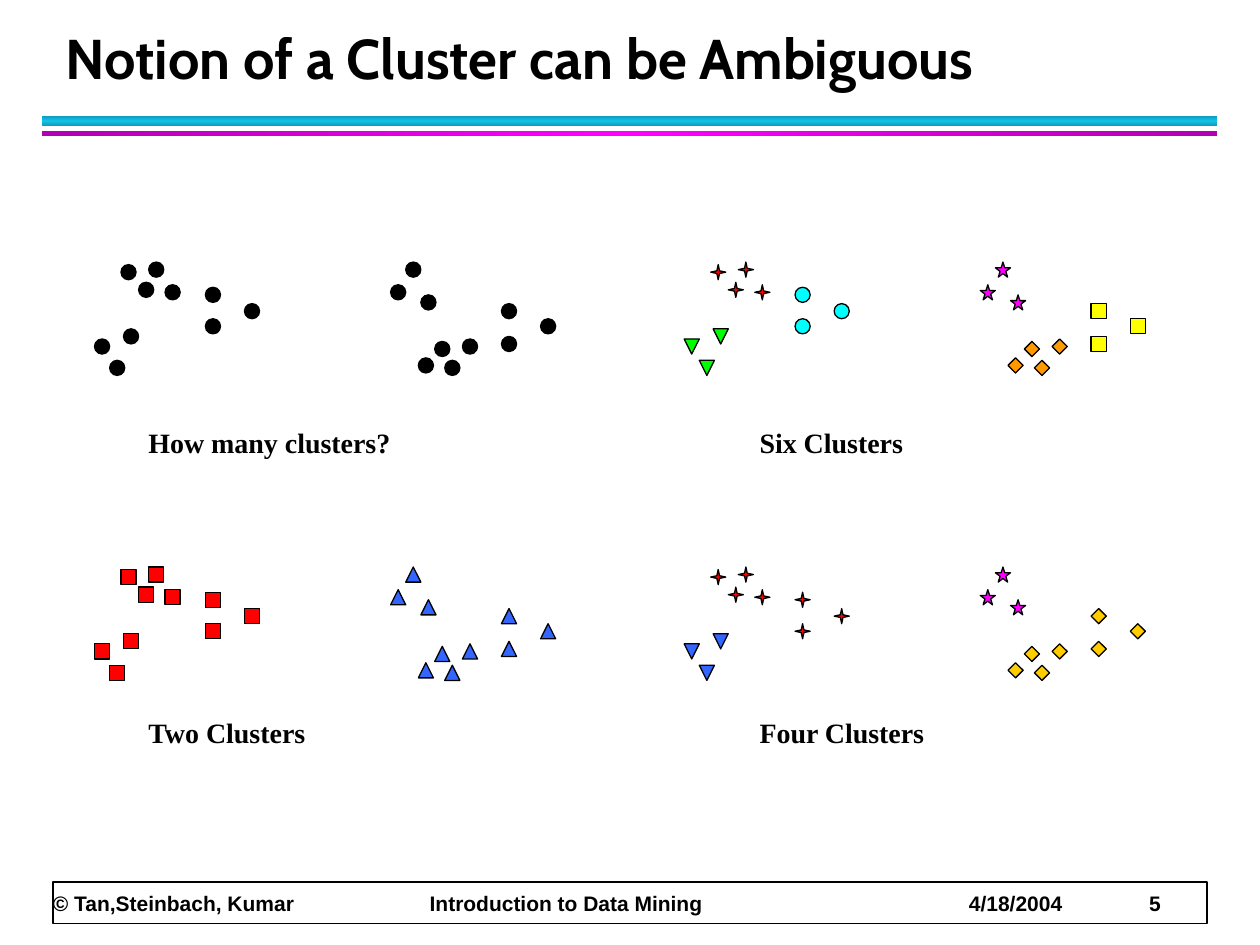
from copy import deepcopy
from pptx import Presentation
from pptx.dml.color import RGBColor
from pptx.enum.shapes import MSO_SHAPE
from pptx.enum.text import MSO_ANCHOR, PP_ALIGN
from pptx.oxml import parse_xml
from pptx.oxml.ns import nsdecls, qn
from pptx.util import Inches, Pt

BLACK = RGBColor(0x00, 0x00, 0x00)
WHITE = RGBColor(0xFF, 0xFF, 0xFF)
RED = RGBColor(0xFF, 0x00, 0x00)
BLUE = RGBColor(0x33, 0x66, 0xFF)
LIME = RGBColor(0x00, 0xFF, 0x00)
CYAN = RGBColor(0x00, 0xFF, 0xFF)
PINK = RGBColor(0xFF, 0x00, 0xFF)
PLUM = RGBColor(0xB2, 0x00, 0xB2)
ORANGE = RGBColor(0xFF, 0x99, 0x00)
GOLD = RGBColor(0xFF, 0xCC, 0x00)
YELLOW = RGBColor(0xFF, 0xFF, 0x00)
TEAL = RGBColor(0x0E, 0x9B, 0xBA)
SKY = RGBColor(0x12, 0xC2, 0xE9)

deck = Presentation()
deck.slide_width, deck.slide_height = Inches(10), Inches(7.5)
slide = deck.slides.add_slide(deck.slide_layouts[5])


def add_shape(kind, left, top, width, height):
    shape = slide.shapes.add_shape(
        kind, Inches(left), Inches(top), Inches(width), Inches(height))
    shape.shadow.inherit = False
    return shape


def add_run(para, text, font, size):
    run = para.add_run()
    run.text = text
    run.font.name, run.font.size, run.font.bold = font, Pt(size), True
    run.font.color.rgb = BLACK


# Title
title = slide.shapes.title
title.left, title.top = Inches(0.42), Inches(0.17)
title.width, title.height = Inches(9.06), Inches(0.6)
title.text_frame.vertical_anchor = MSO_ANCHOR.BOTTOM
para = title.text_frame.paragraphs[0]
para.alignment = PP_ALIGN.LEFT
para.line_spacing = Pt(36)
add_run(para, "Notion of a Cluster can be Ambiguous", "Cabin", 32)

# Gradient bars under the title
for top, height, angle, edge, core in [
        (0.92, 0.08, 90, TEAL, SKY), (1.04, 0.04, 0, PLUM, PINK)]:
    bar = add_shape(MSO_SHAPE.RECTANGLE, 0.33, top, 9.33, height)
    bar.line.fill.background()
    bar.fill.gradient()
    bar.fill.gradient_angle = angle
    stops = bar._element.spPr.find(".//" + qn("a:gsLst"))
    stops.append(deepcopy(stops[-1]))
    for stop, spot, color in zip(
            bar.fill.gradient_stops, (0, 0.5, 1), (edge, core, edge)):
        stop.position = spot
        stop.color.rgb = color

# Footer frame and text
frame = add_shape(MSO_SHAPE.RECTANGLE, 0.42, 7, 9.16, 0.33)
frame.fill.solid()
frame.fill.fore_color.rgb = WHITE
frame.line.color.rgb = BLACK
frame.line.width = Pt(1)
box = slide.shapes.add_textbox(
    Inches(0.42), Inches(6.72), Inches(9.15), Inches(0.55))
text = box.text_frame
text.word_wrap = True
text.vertical_anchor = MSO_ANCHOR.BOTTOM
text.margin_left = text.margin_right = text.margin_top = text.margin_bottom = 0
para = text.paragraphs[0]
para.line_spacing = Pt(19.9)
tabs = parse_xml(f"<a:tabLst {nsdecls('a')}/>")
for stop in (2.99, 7.27, 8.7):
    tab = parse_xml(f"<a:tab {nsdecls('a')} algn='l'/>")
    tab.set("pos", str(Inches(stop)))
    tabs.append(tab)
para._p.get_or_add_pPr().append(tabs)
add_run(para, "© Tan,Steinbach, Kumar\tIntroduction to Data Mining\t4/18/2004\t5",
        "Arial", 12)

# Point groups of one panel, as offsets on the slide
GROUPS = [
    [(3.67, 2.69), (3.32, 2.84), (3.53, 2.86), (3.45, 2.71)],
    [(3.34, 2.34), (3.1, 2.26), (3.22, 2.08)],
    [(3.98, 2.67), (4.29, 2.53), (3.98, 2.41)],
    [(1.31, 2.26), (0.96, 2.1), (1.18, 2.08), (1.1, 2.24)],
    [(0.98, 2.61), (0.75, 2.69), (0.87, 2.86)],
    [(1.63, 2.28), (1.94, 2.41), (1.63, 2.53)],
]
DOT = (MSO_SHAPE.OVAL, BLACK)
SQUARE = (MSO_SHAPE.RECTANGLE, RED)
PEAK = (MSO_SHAPE.ISOSCELES_TRIANGLE, BLUE)
SPARK = (MSO_SHAPE.STAR_4_POINT, RED)
STAR = (MSO_SHAPE.STAR_5_POINT, PINK)
GEM = (MSO_SHAPE.DIAMOND, GOLD)
DOWN = MSO_SHAPE.FLOWCHART_MERGE

# Panels: caption, column, row and one mark for each group
PANELS = [
    ("How many clusters?", 0, 0, [DOT] * 6),
    ("Six Clusters", 1, 0,
     [(MSO_SHAPE.DIAMOND, ORANGE), STAR, (MSO_SHAPE.RECTANGLE, YELLOW),
      SPARK, (DOWN, LIME), (MSO_SHAPE.OVAL, CYAN)]),
    ("Two Clusters", 0, 1, [PEAK] * 3 + [SQUARE] * 3),
    ("Four Clusters", 1, 1, [GEM, STAR, GEM, SPARK, (DOWN, BLUE), SPARK]),
]
for label, col, row, marks in PANELS:
    for points, (kind, color) in zip(GROUPS, marks):
        for x, y in points:
            mark = add_shape(kind, x + 4.68 * col, y + 2.42 * row, 0.12, 0.12)
            mark.fill.solid()
            mark.fill.fore_color.rgb = color
            mark.line.color.rgb = BLACK
            mark.line.width = Pt(0.75)
    box = slide.shapes.add_textbox(
        Inches(1.08 + 4.85 * col), Inches(3.33 + 2.3 * row),
        Inches(2.5), Inches(0.37))
    box.text_frame.word_wrap = True
    add_run(box.text_frame.paragraphs[0], label, "Times New Roman", 16)

deck.save("out.pptx")
